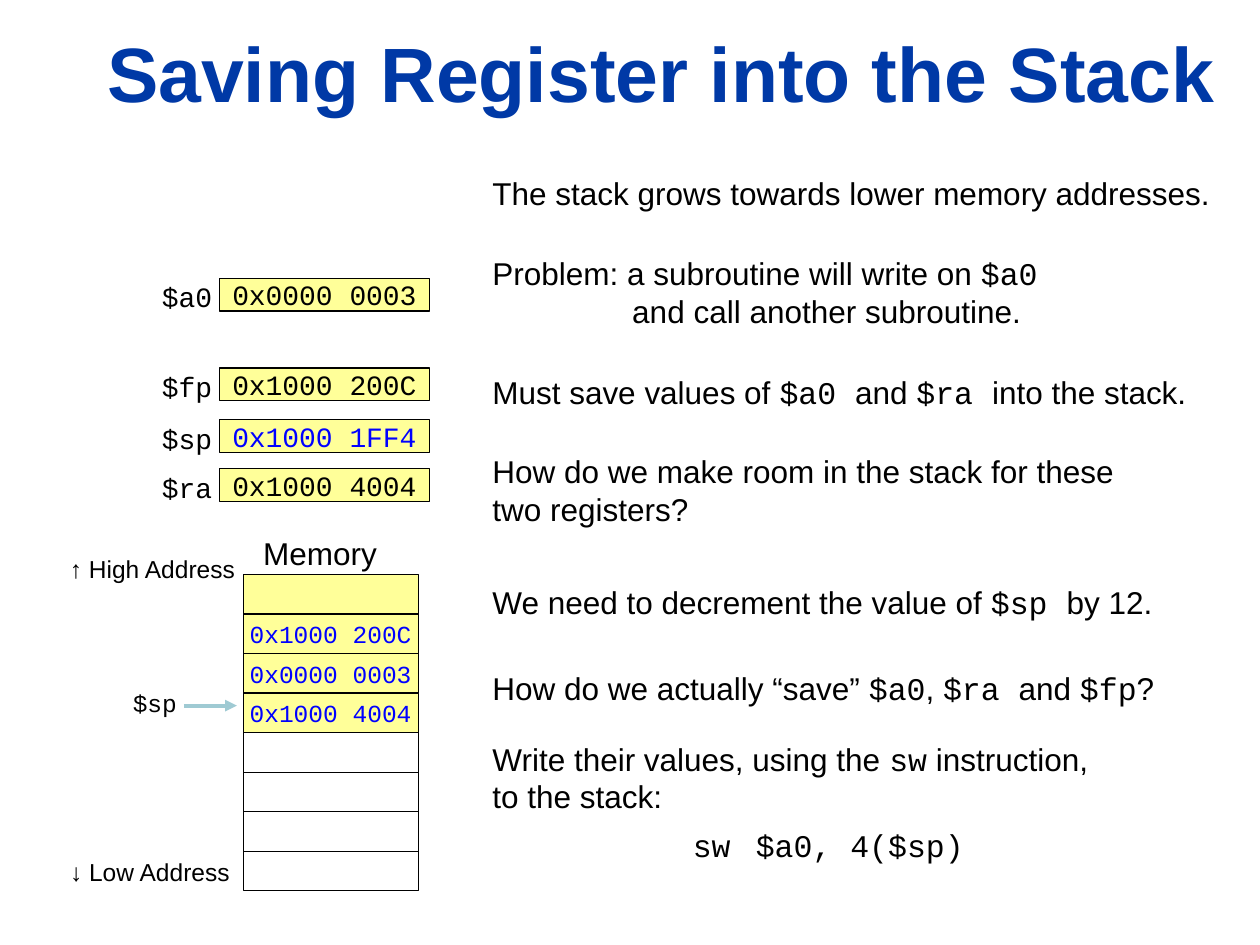
from pptx import Presentation
from pptx.dml.color import RGBColor
from pptx.enum.shapes import MSO_CONNECTOR, MSO_SHAPE
from pptx.enum.text import MSO_ANCHOR, MSO_AUTO_SIZE, PP_ALIGN
from pptx.oxml.ns import qn
from pptx.util import Inches, Pt
from lxml import etree

RECTANGLE = MSO_SHAPE.RECTANGLE
STRAIGHT = MSO_CONNECTOR.STRAIGHT
TOP, MIDDLE, BOTTOM = MSO_ANCHOR.TOP, MSO_ANCHOR.MIDDLE, MSO_ANCHOR.BOTTOM
LEFT, CENTER = PP_ALIGN.LEFT, PP_ALIGN.CENTER
FIT_SHAPE, FIT_NONE = MSO_AUTO_SIZE.SHAPE_TO_FIT_TEXT, MSO_AUTO_SIZE.NONE

SANS, MONO = "Arial", "Courier New"
COLORS = {
    "title": "0039A6",
    "text": "000000",
    "value": "0000FF",
    "cell": "FFFF99",
    "arrow": "9FCAD3",
}

# Name, value, top of the cell, colour of the value
REGISTERS = [
    ("$a0", "0x0000 0003", 2.21, "text"),
    ("$fp", "0x1000 200C", 2.92, "text"),
    ("$sp", "0x1000 1FF4", 3.33, "value"),
    ("$ra", "0x1000 4004", 3.72, "text"),
]

# Memory cells from high to low address; None is an unused cell
MEMORY = ["", "0x1000 200C", "0x0000 0003", "0x1000 4004", None, None, None, None]
MEMORY_TOP, MEMORY_BOTTOM = 4.56, 7.07

# Top, width, height, lines; backticks enclose code
STATEMENTS = [
    (1.33, 5.95, 0.4, ["The stack grows towards lower memory addresses."]),
    (1.97, 4.54, 0.71, ["Problem: a subroutine will write on `$a0`",
                        "and call another subroutine."]),
    (2.91, 5.76, 0.4, ["Must save values of `$a0 `and `$ra `into the stack."]),
    (3.54, 5.18, 0.71, ["How do we make room in the stack for these",
                        "two registers?"]),
    (4.58, 5.49, 0.4, ["We need to decrement the value of `$sp `by 12."]),
    (5.26, 5.51, 0.4, ["How do we actually “save” `$a0`, `$ra `and `$fp`?"]),
    (5.82, 4.98, 0.71, ["Write their values, using the `sw` instruction,",
                        "to the stack:"]),
]
PROBLEM_INDENT = 1.11


def color(name):
    return RGBColor.from_string(COLORS[name])


def format_run(run, size, font_name, color_name):
    run.font.size = Pt(size)
    run.font.name = font_name
    run.font.color.rgb = color(color_name)


def fill_paragraph(paragraph, line, size, color_name="text", align=LEFT):
    """Write a line, setting the parts between backticks in monospace."""
    paragraph.alignment = align
    for index, part in enumerate(line.split("`")):
        if part:
            run = paragraph.add_run()
            run.text = part
            format_run(run, size, MONO if index % 2 else SANS, color_name)


def add_text(slide, box, lines, size, align=LEFT, anchor=TOP):
    shape = slide.shapes.add_textbox(*map(Inches, box))
    text_frame = shape.text_frame
    text_frame.word_wrap = False
    text_frame.auto_size = FIT_SHAPE
    text_frame.vertical_anchor = anchor
    for index, line in enumerate(lines):
        paragraph = text_frame.add_paragraph() if index else text_frame.paragraphs[0]
        fill_paragraph(paragraph, line, size, align=align)
    return shape


def add_label(slide, box, line, size):
    return add_text(slide, box, [line], size, CENTER, MIDDLE)


def add_cell(slide, box, value, size, color_name):
    shape = slide.shapes.add_shape(RECTANGLE, *map(Inches, box))
    shape.shadow.inherit = False
    shape.line.color.rgb = color("text")
    shape.line.width = Pt(0.75)
    if value is None:
        shape.fill.background()
    else:
        shape.fill.solid()
        shape.fill.fore_color.rgb = color("cell")
    if value:
        text_frame = shape.text_frame
        text_frame.word_wrap = False
        text_frame.vertical_anchor = MIDDLE
        fill_paragraph(text_frame.paragraphs[0], f"`{value}`", size, color_name, CENTER)


def add_arrow(slide, start, end):
    arrow = slide.shapes.add_connector(STRAIGHT, *map(Inches, (*start, *end)))
    arrow.line.color.rgb = color("arrow")
    arrow.line.width = Pt(2.25)
    etree.SubElement(arrow.line._get_or_add_ln(), qn("a:tailEnd"), type="triangle")
    etree.SubElement(arrow._element.spPr, qn("a:effectLst"))


def add_title(slide, text):
    title = slide.shapes.title
    title.left, title.top, title.width, title.height = map(Inches, (0.75, 0.16, 9.03, 0.83))
    text_frame = title.text_frame
    text_frame.text = text
    text_frame.auto_size = FIT_NONE
    text_frame.vertical_anchor = BOTTOM
    paragraph = text_frame.paragraphs[0]
    paragraph.alignment = LEFT
    format_run(paragraph.runs[0], 44, SANS, "title")
    paragraph.runs[0].font.bold = True


def add_statements(slide):
    for top, width, height, lines in STATEMENTS:
        shape = add_text(slide, (3.81, top, width, height), lines, 18)
        if lines[0].startswith("Problem"):
            properties = shape.text_frame.paragraphs[1]._p.get_or_add_pPr()
            properties.set("marL", str(Inches(PROBLEM_INDENT)))
    add_text(slide, (5.4, 6.51, 3.15, 0.4), ["`sw\t$a0, 4($sp)`"], 18)


def add_registers(slide):
    for name, value, top, color_name in REGISTERS:
        add_label(slide, (1.18, top - 0.04, 0.61, 0.37), f"`{name}`", 16)
        add_cell(slide, (1.74, top, 1.67, 0.26), value, 16, color_name)


def add_memory(slide):
    add_label(slide, (1.99, 4.19, 1.1, 0.4), "Memory", 18)
    add_label(slide, (0.44, 4.35, 1.54, 0.33), "↑ High Address", 14)
    add_label(slide, (0.44, 6.75, 1.5, 0.33), "↓ Low Address", 14)
    height = (MEMORY_BOTTOM - MEMORY_TOP) / len(MEMORY)
    for index, value in enumerate(MEMORY):
        box = (1.93, MEMORY_TOP + index * height, 1.39, height)
        add_cell(slide, box, value, 14, "value")
    # Stack pointer
    add_label(slide, (0.95, 5.41, 0.56, 0.34), "`$sp`", 14)
    add_arrow(slide, (1.46, 5.6), (1.88, 5.6))


def main():
    presentation = Presentation()
    presentation.slide_width, presentation.slide_height = Inches(10), Inches(7.5)
    slide = presentation.slides.add_slide(presentation.slide_layouts[5])
    add_title(slide, "Saving Register into the Stack")
    add_statements(slide)
    add_registers(slide)
    add_memory(slide)
    presentation.save("out.pptx")


if __name__ == "__main__":
    main()
